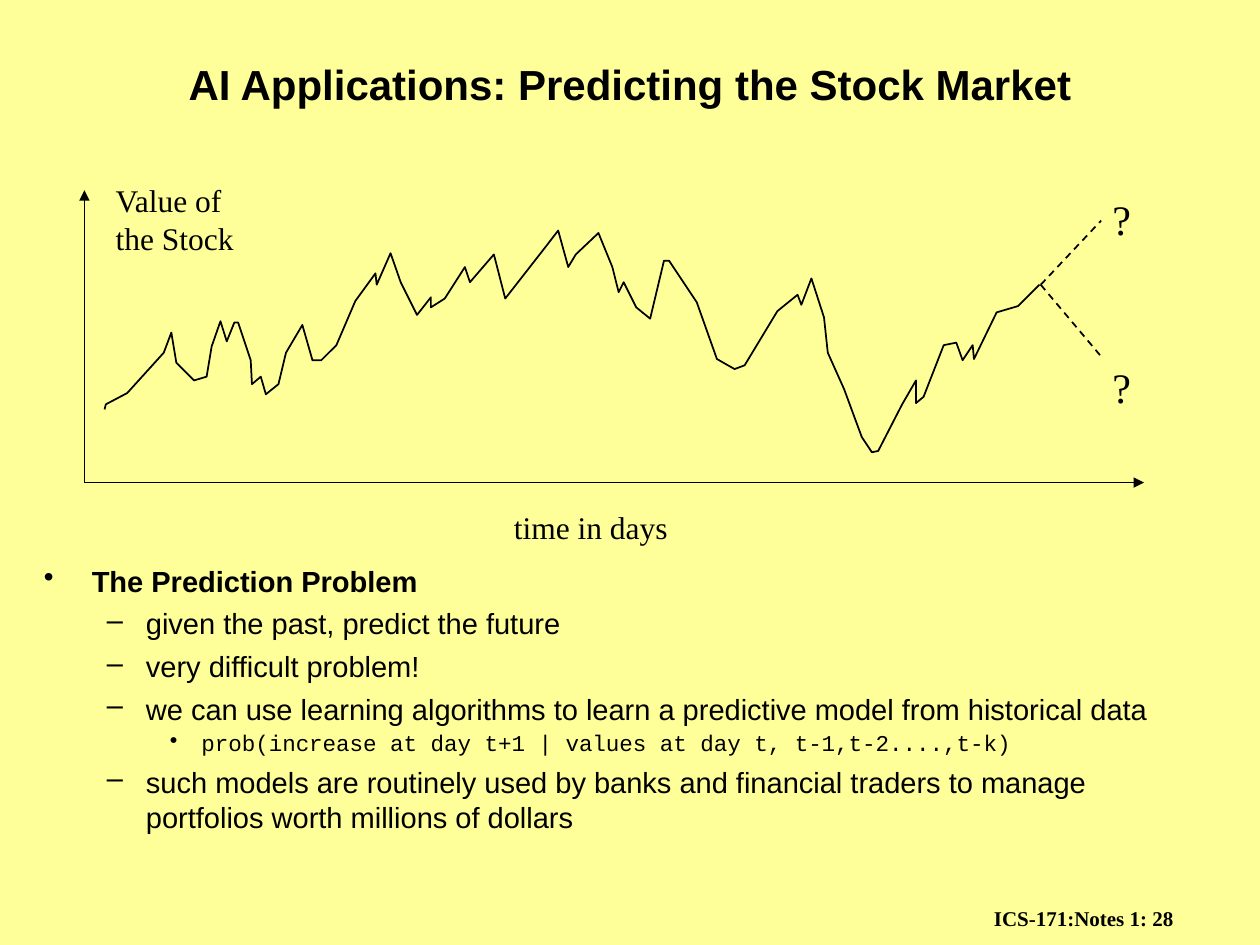
"""Build a slide on predicting the stock market with a price curve and notes."""
import pptx
import pptx.dml.color
import pptx.enum.dml
import pptx.enum.shapes
import pptx.enum.text
import pptx.oxml
import pptx.oxml.ns
import pptx.util
from pptx.util import Inches

BLACK = pptx.dml.color.RGBColor(0x00, 0x00, 0x00)
YELLOW = pptx.dml.color.RGBColor(0xFF, 0xFF, 0x99)
CENTER = pptx.enum.text.PP_ALIGN.CENTER
MIDDLE = pptx.enum.text.MSO_ANCHOR.MIDDLE
DASH = pptx.enum.dml.MSO_LINE.DASH

TITLE_FONT = {"name": "Arial", "size": pptx.util.Pt(24), "bold": True}
MARK_FONT = {"name": "Times New Roman", "size": pptx.util.Pt(24)}
LABEL_FONT = {"name": "Times New Roman", "size": pptx.util.Pt(18)}
FOOTER_FONT = {"name": "Times New Roman", "size": pptx.util.Pt(12), "bold": True}
HEADING_FONT = {"name": "Arial", "size": pptx.util.Pt(16.6), "bold": True}
POINT_FONT = {"name": "Arial", "size": pptx.util.Pt(16.6), "bold": False}
CODE_FONT = {"name": "Courier New", "size": pptx.util.Pt(12.9), "bold": False}

LABELS = [
    (["ICS-171:Notes 1: 28"], (7.79, 7.14, 2.21, 0.3), FOOTER_FONT, {"word_wrap": False}, {}),
    (["AI Applications: Predicting the Stock Market"], (0.75, 0.33, 8.5, 0.67), TITLE_FONT,
     {"word_wrap": True, "vertical_anchor": MIDDLE}, {"alignment": CENTER}),
    (["?"], (8.73, 1.49, 0.35, 0.5), MARK_FONT, {"word_wrap": True}, {}),
    (["?"], (8.73, 2.82, 0.35, 0.5), MARK_FONT, {"word_wrap": True}, {}),
    (["time in days"], (3.98, 3.98, 1.42, 0.4), LABEL_FONT, {"word_wrap": False}, {}),
    (["Value of", "the Stock"], (0.82, 1.39, 1.14, 0.7), LABEL_FONT, {"word_wrap": False}, {}),
]

NOTES_BOX = (0.25, 4.42, 9.08, 2.58)
NOTES = [
    (0, "The Prediction Problem"),
    (1, "given the past, predict the future"),
    (1, "very difficult problem!"),
    (1, "we can use learning algorithms to learn a predictive model from historical data"),
    (2, "prob(increase at day t+1 | values at day t, t-1,t-2....,t-k)"),
    (1, "such models are routinely used by banks and financial traders to manage "
        "portfolios worth millions of dollars"),
]
LEVELS = [
    {"font": HEADING_FONT, "bullet": "•", "margin": 0.38, "hang": 0.38, "before": 4.5, "spacing": 1.0},
    {"font": POINT_FONT, "bullet": "–", "margin": 0.81, "hang": 0.31, "before": 4.5, "spacing": 1.0},
    {"font": CODE_FONT, "bullet": "•", "margin": 1.25, "hang": 0.25, "before": 3.5, "spacing": 0.9},
]

FORK = (8.26, 2.26)
LINES = [
    ((0.67, 3.83), (9.08, 3.83), "arrow"),
    ((0.67, 3.83), (0.67, 1.51), "arrow"),
    (FORK, (8.74, 2.83), "dash"),
    (FORK, (8.74, 1.75), "dash"),
]

CURVE_UNIT = Inches(0.01)
CURVE = [
    (83, 325), (84, 321), (101, 312), (130, 280), (136, 264), (140, 288), (154, 302), (164, 299),
    (168, 275), (175, 255), (180, 271), (186, 256), (189, 256), (199, 286), (200, 305), (207, 299),
    (211, 313), (221, 305), (227, 280), (240, 258), (248, 286), (255, 286), (267, 274), (282, 239),
    (298, 217), (299, 226), (310, 201), (318, 224), (331, 250), (342, 236), (342, 244), (353, 237),
    (369, 212), (373, 224), (392, 202), (401, 237), (433, 196), (443, 183), (451, 212), (457, 202),
    (475, 185), (486, 212), (491, 232), (495, 224), (505, 244), (516, 253), (527, 207), (531, 207),
    (553, 240), (569, 285), (583, 293), (591, 290), (617, 247), (633, 234), (636, 242), (644, 221),
    (654, 252), (657, 280), (670, 309), (684, 347), (692, 359), (697, 358), (716, 321), (727, 302),
    (727, 320), (733, 315), (749, 274), (759, 272), (764, 286), (772, 274), (773, 285), (791, 248),
    (808, 243), (825, 226),
]


def apply(target, values):
    for name, value in values.items():
        setattr(target, name, value)


def add_text(paragraph, text, font):
    run = paragraph.add_run()
    run.text = text
    apply(run.font, font)
    run.font.color.rgb = BLACK


def add_box(slide, box, frame_format):
    frame = slide.shapes.add_textbox(*map(Inches, box)).text_frame
    apply(frame, frame_format)
    return frame


def next_paragraph(frame, index):
    return frame.add_paragraph() if index else frame.paragraphs[0]


def add_label(slide, texts, box, font, frame_format, paragraph_format):
    frame = add_box(slide, box, frame_format)
    for index, text in enumerate(texts):
        paragraph = next_paragraph(frame, index)
        apply(paragraph, paragraph_format)
        add_text(paragraph, text, font)


def add_notes(slide):
    frame = add_box(slide, NOTES_BOX, {"word_wrap": True})
    for index, (depth, text) in enumerate(NOTES):
        level = LEVELS[depth]
        paragraph = next_paragraph(frame, index)
        apply(paragraph, {"level": depth, "line_spacing": level["spacing"],
                          "space_before": pptx.util.Pt(level["before"])})
        properties = paragraph._p.get_or_add_pPr()
        properties.set("marL", str(Inches(level["margin"])))
        properties.set("indent", str(-Inches(level["hang"])))
        bullet = pptx.oxml.ns.qn("a:buChar")
        properties.append(properties.makeelement(bullet, {"char": level["bullet"]}))
        add_text(paragraph, text, level["font"])


def style_line(line):
    line.color.rgb = BLACK
    line.width = pptx.util.Pt(1)


def add_curve(slide):
    builder = slide.shapes.build_freeform(*CURVE[0], scale=CURVE_UNIT)
    builder.add_line_segments(CURVE[1:], close=False)
    curve = builder.convert_to_shape()
    curve.shadow.inherit = False
    curve.fill.background()
    style_line(curve.line)


def add_line(slide, start, end, kind):
    connector = slide.shapes.add_connector(
        pptx.enum.shapes.MSO_CONNECTOR.STRAIGHT, *map(Inches, start + end))
    style_line(connector.line)
    if kind == "dash":
        connector.line.dash_style = DASH
    else:
        line = connector.line._get_or_add_ln()
        line.append(line.makeelement(pptx.oxml.ns.qn("a:tailEnd"), {"type": "triangle"}))
    properties = connector._element.spPr
    properties.append(properties.makeelement(pptx.oxml.ns.qn("a:effectLst"), {}))


def main():
    presentation = pptx.Presentation()
    apply(presentation, {"slide_width": Inches(10), "slide_height": Inches(7.5)})
    slide = presentation.slides.add_slide(presentation.slide_layouts[6])
    slide.background.fill.solid()
    slide.background.fill.fore_color.rgb = YELLOW
    add_curve(slide)
    for line in LINES:
        add_line(slide, *line)
    for label in LABELS:
        add_label(slide, *label)
    add_notes(slide)
    presentation.save("out.pptx")


if __name__ == "__main__":
    main()
